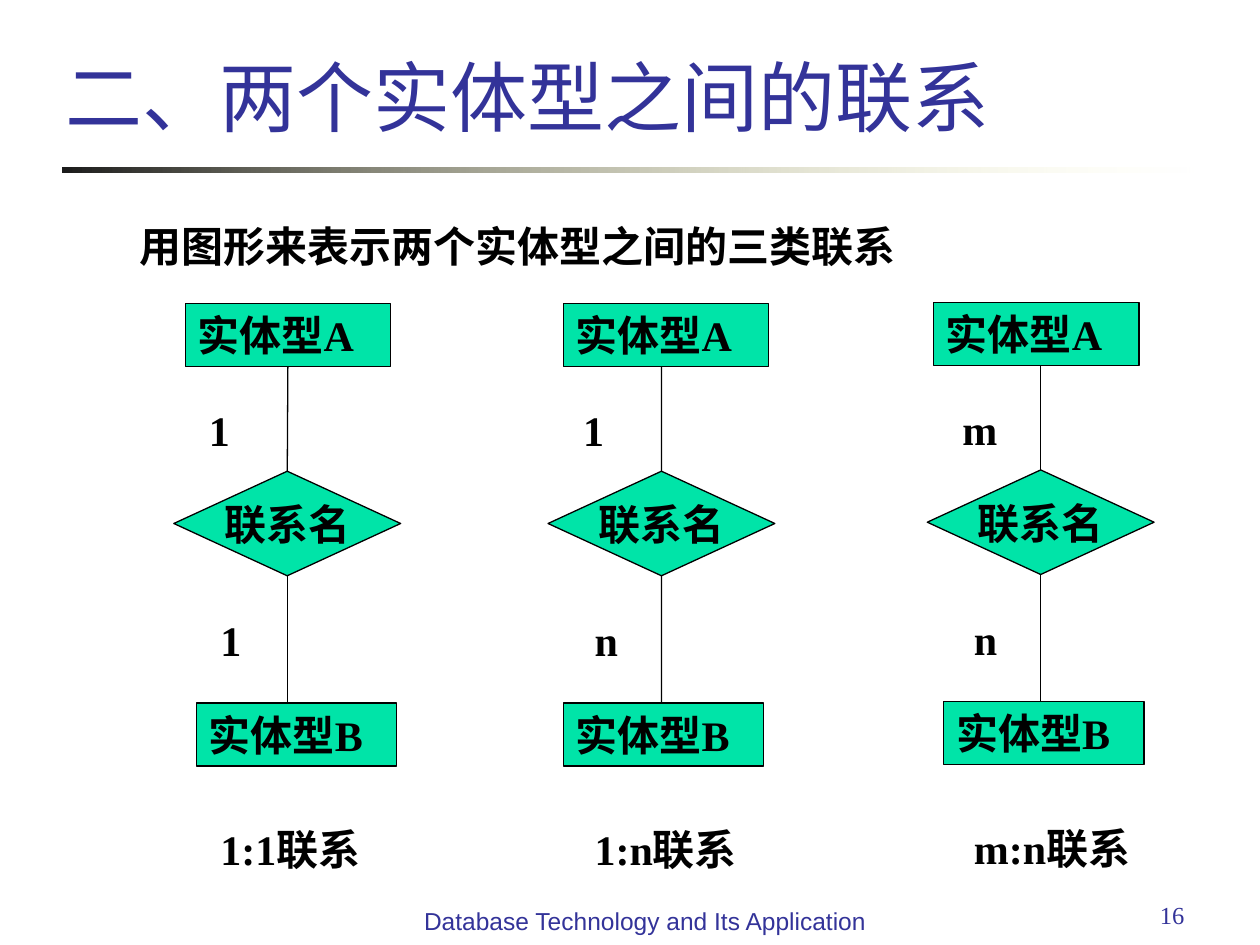
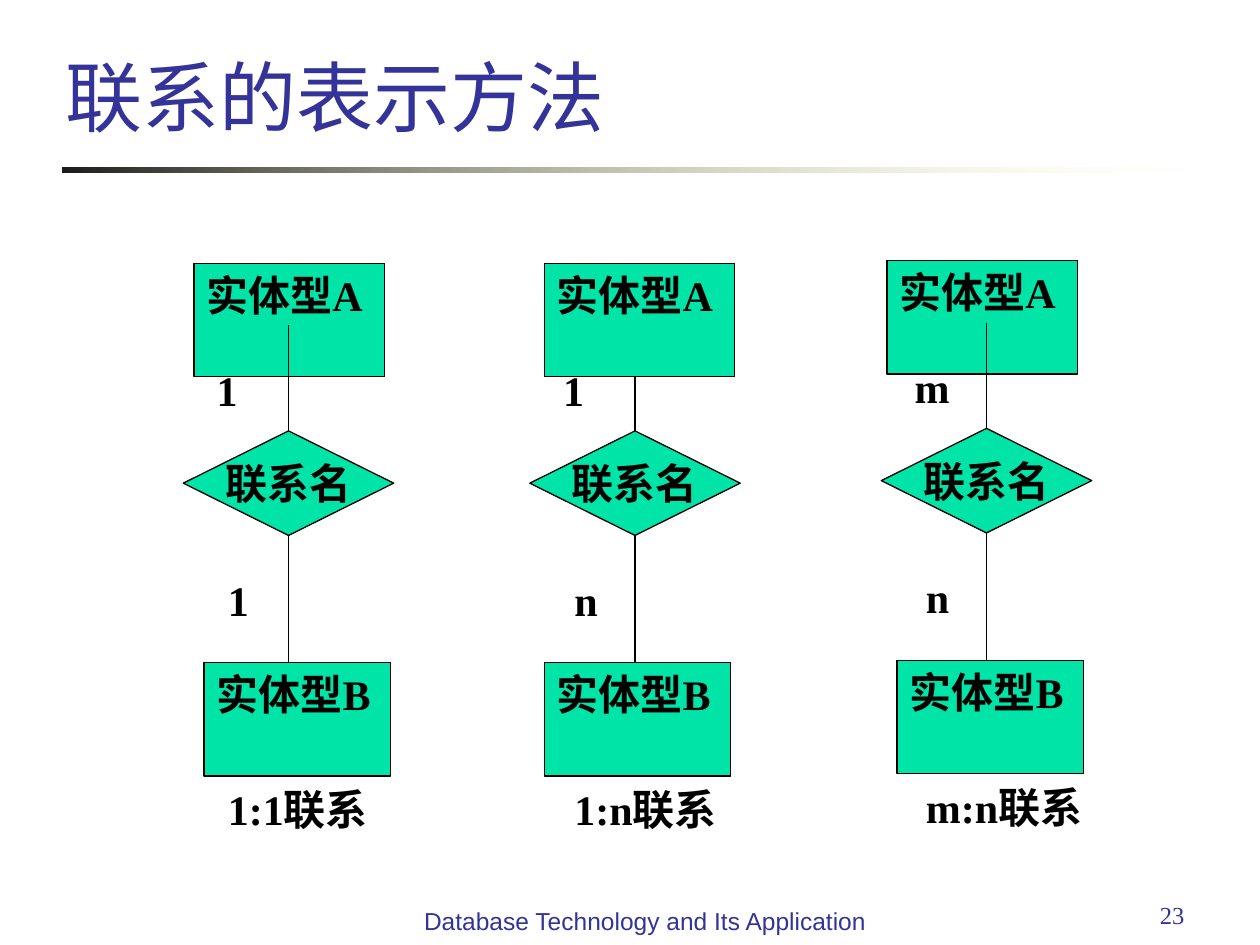
from dataclasses import dataclass

from lxml import etree
from pptx import Presentation
from pptx.dml.color import RGBColor
from pptx.enum.shapes import MSO_CONNECTOR, MSO_SHAPE
from pptx.enum.text import MSO_ANCHOR, MSO_AUTO_SIZE, PP_ALIGN
from pptx.oxml.ns import qn
from pptx.util import Inches, Pt

INDIGO = RGBColor(0x33, 0x33, 0x99)
MINT = RGBColor(0x00, 0xE4, 0xA8)
BLACK = RGBColor(0x00, 0x00, 0x00)
CHARCOAL = RGBColor(0x1C, 0x1C, 0x1C)
CREAM = RGBColor(0xFF, 0xFF, 0xB7)

SANS = "Arial"
SERIF = "Times New Roman"

RECTANGLE = MSO_SHAPE.RECTANGLE
DIAMOND = MSO_SHAPE.DIAMOND
STRAIGHT = MSO_CONNECTOR.STRAIGHT
LEFT, CENTER, RIGHT = PP_ALIGN.LEFT, PP_ALIGN.CENTER, PP_ALIGN.RIGHT
TOP, MIDDLE, BOTTOM = MSO_ANCHOR.TOP, MSO_ANCHOR.MIDDLE, MSO_ANCHOR.BOTTOM
NO_AUTOFIT = MSO_AUTO_SIZE.NONE
TOP_SITE, BOTTOM_SITE = 0, 2

TITLE_ONLY = 5
FOOTER = "Database Technology and Its Application"
DIAMOND_HEIGHT = 0.83
ENTITY_RISE = 1.33
ENTITY_DROP = 1.84
LABEL_HEIGHT = 0.5
JOIN_TOLERANCE = Inches(0.01)


@dataclass
class DiagramSize:
    diamond_width: float
    entity_a_width: float
    entity_b_width: float
    entity_height: float
    upper_line: float
    label_width: float
    label_shift: float
    caption_width: float
    caption_height: float


@dataclass
class Relation:
    center: float
    diamond_top: float
    entity_a_left: float
    entity_b_left: float
    upper: str
    lower: str
    entities_in_front: bool = False


class Deck:
    def __init__(self):
        self.presentation = Presentation()
        self.presentation.slide_width = Inches(10)
        self.presentation.slide_height = Inches(7.5)
        self.slide = None

    def fill_text(self, frame, text, size=24, font=SERIF, color=BLACK, bold=True,
                  align=LEFT, anchor=TOP, wrap=True):
        frame.word_wrap = wrap
        frame.auto_size = NO_AUTOFIT
        frame.vertical_anchor = anchor
        paragraph = frame.paragraphs[0]
        paragraph.alignment = align
        run = paragraph.add_run()
        run.text = text
        run.font.size = Pt(size)
        run.font.name = font
        run.font.bold = bold
        run.font.color.rgb = color

    def text(self, left, top, width, height, text, **style):
        box = self.slide.shapes.add_textbox(
            Inches(left), Inches(top), Inches(width), Inches(height))
        self.fill_text(box.text_frame, text, **style)

    def node(self, kind, left, top, width, height, text, **style):
        node = self.slide.shapes.add_shape(
            kind, Inches(left), Inches(top), Inches(width), Inches(height))
        node.shadow.inherit = False
        node.fill.solid()
        node.fill.fore_color.rgb = MINT
        node.line.color.rgb = BLACK
        node.line.width = Pt(0.75)
        self.fill_text(node.text_frame, text, **style)
        return node

    def line(self, x, start, end):
        line = self.slide.shapes.add_connector(
            STRAIGHT, Inches(x), Inches(start), Inches(x), Inches(end))
        line.line.color.rgb = BLACK
        line.line.width = Pt(0.75)
        etree.SubElement(line.element.spPr, qn("a:effectLst"))
        return line

    def join_end(self, line, entity, site):
        side_y = entity.top + (entity.height if site == BOTTOM_SITE else 0)
        gap_x = abs(entity.left + entity.width // 2 - line.end_x)
        if max(gap_x, abs(side_y - line.end_y)) <= JOIN_TOLERANCE:
            line.end_connect(entity, site)

    def title_rule(self):
        rule = self.slide.shapes.add_shape(
            RECTANGLE, Inches(0.5), Inches(1.33), Inches(9), Inches(0.04))
        rule.shadow.inherit = False
        rule.line.fill.background()
        rule.fill.gradient()
        rule.fill.gradient_angle = 0
        for stop, color, position in zip(rule.fill.gradient_stops, (CHARCOAL, CREAM), (0, 1)):
            stop.color.rgb = color
            stop.position = position
        faded = rule.element.spPr.findall(".//" + qn("a:srgbClr"))[-1]
        etree.SubElement(faded, qn("a:alpha"), val="0")

    def new_slide(self, title, number):
        layout = self.presentation.slide_layouts[TITLE_ONLY]
        self.slide = self.presentation.slides.add_slide(layout)
        heading = self.slide.shapes.title
        heading.left, heading.top = Inches(0.42), Inches(0)
        heading.width, heading.height = Inches(8.78), Inches(1.18)
        self.fill_text(heading.text_frame, title, size=44, font=SANS, color=INDIGO,
                       bold=False, anchor=BOTTOM)
        self.title_rule()
        self.text(7.17, 7.09, 2.33, 0.36, number, size=14, color=INDIGO,
                  bold=False, align=RIGHT)
        self.text(3.19, 7.14, 3.86, 0.36, FOOTER, size=14, font=SANS,
                  color=INDIGO, bold=False, align=CENTER)

    def entities(self, size, relation):
        top = relation.diamond_top
        entity_a = self.node(RECTANGLE, relation.entity_a_left, top - ENTITY_RISE,
                             size.entity_a_width, size.entity_height, "实体型A")
        entity_b = self.node(RECTANGLE, relation.entity_b_left, top + ENTITY_DROP,
                             size.entity_b_width, size.entity_height, "实体型B")
        return entity_a, entity_b

    def relation(self, size, relation):
        center, top = relation.center, relation.diamond_top
        if not relation.entities_in_front:
            entity_a, entity_b = self.entities(size, relation)
        diamond = self.node(DIAMOND, center - size.diamond_width / 2, top,
                            size.diamond_width, DIAMOND_HEIGHT, "联系名",
                            align=CENTER, anchor=MIDDLE, wrap=False)
        upper_line = self.line(center, top, top - size.upper_line)
        lower_line = self.line(center, top + DIAMOND_HEIGHT, top + ENTITY_DROP)
        upper_line.begin_connect(diamond, TOP_SITE)
        lower_line.begin_connect(diamond, BOTTOM_SITE)

        upper_left = center - size.label_shift
        lower_left = upper_left + 0.09
        self.text(upper_left, top - 0.58, size.label_width, LABEL_HEIGHT, relation.upper)
        self.text(lower_left, top + 1.09, size.label_width, LABEL_HEIGHT, relation.lower)
        self.text(lower_left, top + 2.75, size.caption_width, size.caption_height,
                  f"{relation.upper}:{relation.lower}联系")
        if relation.entities_in_front:
            entity_a, entity_b = self.entities(size, relation)
        self.join_end(upper_line, entity_a, BOTTOM_SITE)
        self.join_end(lower_line, entity_b, TOP_SITE)


WIDE = DiagramSize(1.8, 1.63, 1.59, 0.5, 0.83, 0.45, 0.72, 1.62, 0.5)
NARROW = DiagramSize(1.67, 1.51, 1.48, 0.9, 0.84, 0.42, 0.67, 1.5, 0.9)

WIDE_RELATIONS = [
    Relation(2.28, 3.74, 1.47, 1.56, "1", "1"),
    Relation(5.25, 3.74, 4.47, 4.47, "1", "n", entities_in_front=True),
    Relation(8.26, 3.73, 7.41, 7.49, "m", "n"),
]
NARROW_RELATIONS = [
    Relation(2.29, 3.42, 1.54, 1.62, "1", "1"),
    Relation(5.04, 3.42, 4.32, 4.32, "1", "n", entities_in_front=True),
    Relation(7.83, 3.40, 7.04, 7.12, "m", "n"),
]


def main():
    deck = Deck()

    deck.new_slide("二、两个实体型之间的联系", "16")
    deck.text(0.61, 1.7, 7, 0.5, "用图形来表示两个实体型之间的三类联系", align=CENTER)
    for relation in WIDE_RELATIONS:
        deck.relation(WIDE, relation)

    deck.new_slide("联系的表示方法", "23")
    for relation in NARROW_RELATIONS:
        deck.relation(NARROW, relation)

    deck.presentation.save("out.pptx")


if __name__ == "__main__":
    main()
